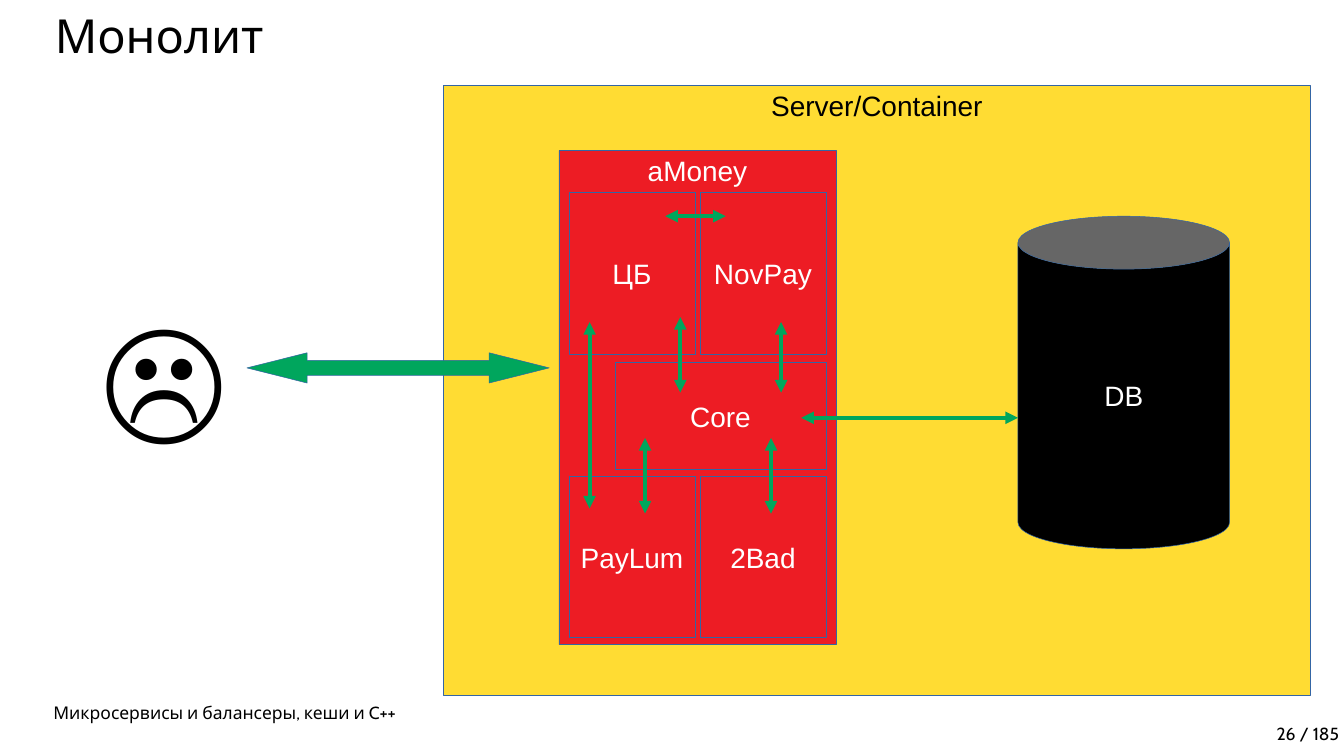
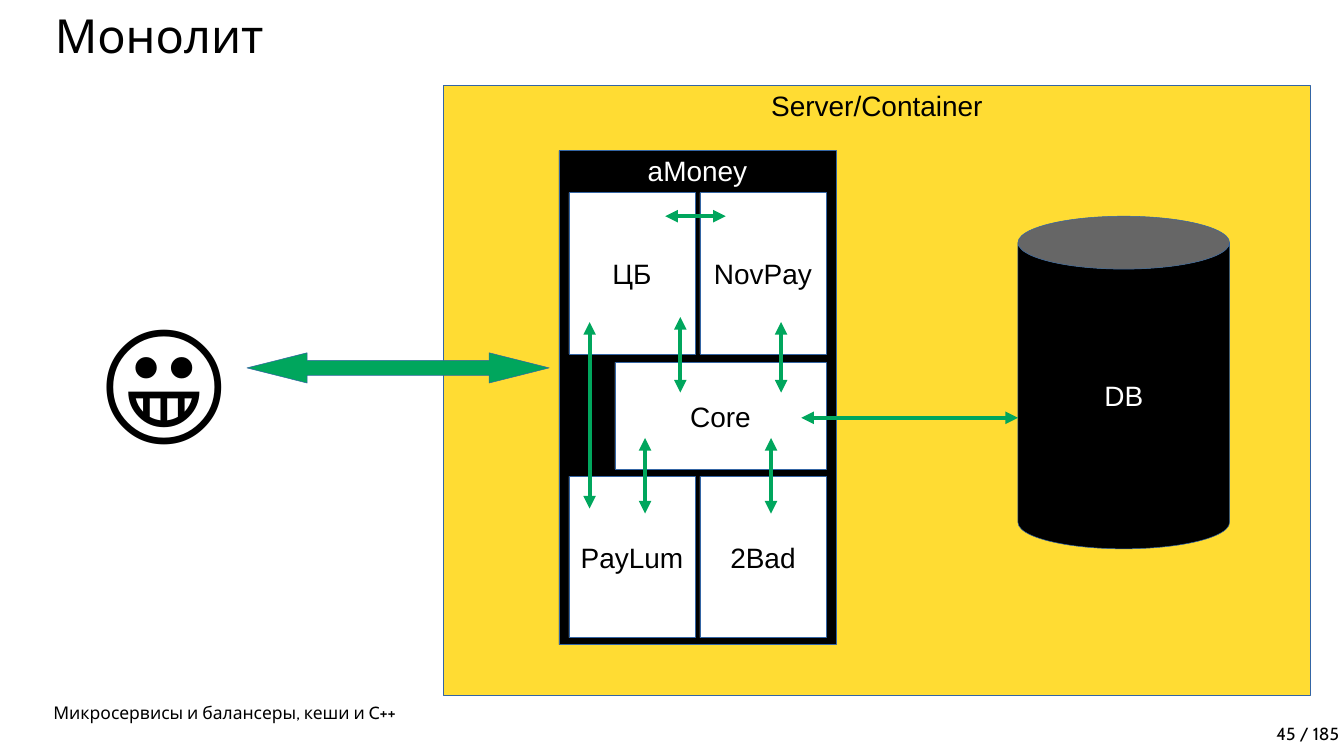
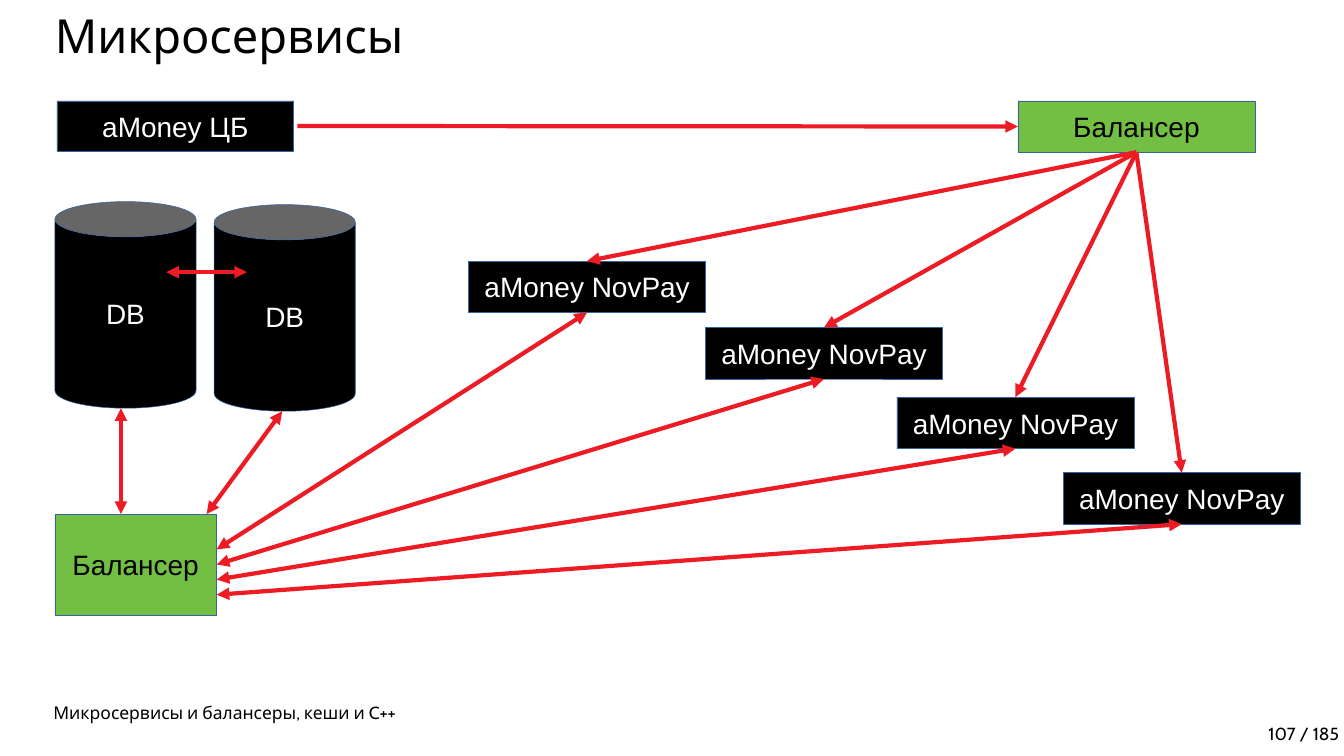
from lxml import etree
from pptx import Presentation
from pptx.dml.color import RGBColor
from pptx.enum.shapes import MSO_CONNECTOR, MSO_SHAPE
from pptx.enum.text import MSO_ANCHOR, MSO_AUTO_SIZE, PP_ALIGN
from pptx.oxml.ns import qn
from pptx.util import Inches, Pt

RECT, CAN, DOUBLE_ARROW = MSO_SHAPE.RECTANGLE, MSO_SHAPE.CAN, MSO_SHAPE.LEFT_RIGHT_ARROW
STRAIGHT = MSO_CONNECTOR.STRAIGHT
TOP, MIDDLE, BOTTOM = MSO_ANCHOR.TOP, MSO_ANCHOR.MIDDLE, MSO_ANCHOR.BOTTOM
LEFT, CENTER, RIGHT = PP_ALIGN.LEFT, PP_ALIGN.CENTER, PP_ALIGN.RIGHT
FIT_SHAPE = MSO_AUTO_SIZE.SHAPE_TO_FIT_TEXT
SITE_TOP, SITE_LEFT, SITE_BOTTOM = 0, 1, 2

BLACK = RGBColor(0x00, 0x00, 0x00)
WHITE = RGBColor(0xFF, 0xFF, 0xFF)
YELLOW = RGBColor(0xFF, 0xDC, 0x33)
RED = RGBColor(0xED, 0x1C, 0x24)
GREEN = RGBColor(0x00, 0xA6, 0x5D)
LIME = RGBColor(0x72, 0xBF, 0x44)
OUTLINE = RGBColor(0x34, 0x65, 0xA4)

TITLE_FONT, BODY_FONT = "Cabin", "Arial"
FOOTER = "Микросервисы и балансеры, кеши и C++"
TOTAL = 185


def write(p, text, size, font, color, align):
    """Add one formatted run to a paragraph."""
    p.alignment = align
    r = p.add_run()
    r.text = text
    r.font.size = Pt(size)
    r.font.name = font
    r.font.color.rgb = color


def add_text(s, box, text, size, font, anchor=TOP, align=LEFT):
    """Add a wrapped text box and return its frame."""
    tf = s.shapes.add_textbox(*map(Inches, box)).text_frame
    tf.word_wrap = True
    tf.vertical_anchor = anchor
    write(tf.paragraphs[0], text, size, font, BLACK, align)
    return tf


def add_block(s, box, fill, text="", color=WHITE, kind=RECT, anchor=MIDDLE):
    """Add a filled shape with a hairline and a centred label."""
    sp = s.shapes.add_shape(kind, *map(Inches, box))
    sp.shadow.inherit = False
    sp.fill.solid()
    sp.fill.fore_color.rgb = fill
    sp.line.color.rgb = OUTLINE
    sp.line.width = 0
    if text:
        tf = sp.text_frame
        tf.word_wrap = False
        tf.vertical_anchor = anchor
        write(tf.paragraphs[0], text, 40, BODY_FONT, color, CENTER)
    return sp


def add_arrow(s, start, end, color, both=True):
    """Add a thick arrow, pointed at its end or at both ends."""
    cx = s.shapes.add_connector(STRAIGHT, *map(Inches, (*start, *end)))
    cx.line.color.rgb = color
    cx.line.width = Pt(6)
    ln = cx.line._get_or_add_ln()
    for tag in ("a:headEnd", "a:tailEnd") if both else ("a:tailEnd",):
        etree.SubElement(ln, qn(tag), type="triangle")
    etree.SubElement(cx._element.spPr, qn("a:effectLst"))
    return cx


def add_slide(prs, title, number):
    """Add a slide with its title, footer and page number."""
    s = prs.slides.add_slide(prs.slide_layouts[6])
    tf = add_text(s, (0.99, 0.2, 26.2, 1.4), title, 67, TITLE_FONT)
    tf.paragraphs[0].line_spacing = 0.9
    for left, top, text, align in ((0.96, 13.85, FOOTER, LEFT),
                                   (15.32, 14.25, f"{number} / {TOTAL}", RIGHT)):
        tf = add_text(s, (left, top, 11.35, 0.56), text, 25, TITLE_FONT, BOTTOM, align)
        p = tf.paragraphs[0]
        p.line_spacing = 0.9
        p.space_before = p.space_after = Pt(30)
    return s


def add_application(s, x, y, frame_fill, module_fill, module_color):
    """Draw the application with its modules and the calls between them."""
    add_block(s, (x, y, 5.5, 9.8), frame_fill, "aMoney", anchor=TOP)
    modules = (("ЦБ", "NovPay"), ("PayLum", "2Bad"))
    for row, names in enumerate(modules):
        for col, name in enumerate(names):
            box = (x + 0.2 + 2.6 * col, y + 0.83 + 5.63 * row, 2.5, 3.2)
            add_block(s, box, module_fill, name, module_color)
    add_block(s, (x + 1.11, y + 4.2, 4.19, 2.12), module_fill, "Core", module_color)
    for dx, low, high in ((4.41, 4.8, 3.4), (2.41, 4.8, 3.3), (1.71, 7.2, 5.7),
                          (4.21, 7.2, 5.7), (0.61, 7.1, 3.4)):
        add_arrow(s, (x + dx, y + low), (x + dx, y + high), GREEN)
    add_arrow(s, (x + 3.31, y + 1.3), (x + 2.11, y + 1.3), GREEN)


def add_server(s, x, y, *colors):
    """Draw the server with the application and its database."""
    add_block(s, (x, y, 17.2, 12.1), YELLOW, "Server/Container", BLACK, anchor=TOP)
    add_application(s, x + 2.29, y + 1.29, *colors)
    add_block(s, (x + 11.4, y + 2.59, 4.2, 6.6), BLACK, "DB", kind=CAN)
    add_arrow(s, (x + 7.1, y + 6.59), (x + 11.4, y + 6.59), GREEN)


def add_user(s, x, y, face):
    """Draw the user's mood and the exchange with the server."""
    tf = add_text(s, (x, y, 3.08, 3.4), face, 196, BODY_FONT)
    tf.auto_size = FIT_SHAPE
    sp = add_block(s, (x + 2.98, y + 1.3, 6, 0.6), GREEN, kind=DOUBLE_ARROW)
    sp.adjustments[0] = 0.5
    sp.adjustments[1] = 1.99


def build_monolith(prs, number, face, *colors):
    """Build a slide of the monolith in one state."""
    s = add_slide(prs, "Монолит", number)
    add_server(s, 8.8, 1.7, *colors)
    add_user(s, 1.92, 5.7, face)


def add_storage(s, x, y):
    """Draw the replicated databases above their balancer."""
    for dx, dy in ((0, 0), (3.16, 0.06)):
        add_block(s, (x + dx, y + dy, 2.8, 4.1), BLACK, "DB", kind=CAN)
    add_block(s, (x, y + 6.2, 3.2, 2), LIME, "Балансер", BLACK)
    for start, end in (((1.31, 6.2), (1.31, 4.1)), ((3.01, 6.2), (4.51, 4.16)),
                       ((2.21, 1.4), (3.81, 1.4))):
        add_arrow(s, (x + start[0], y + start[1]), (x + end[0], y + end[1]), RED)


def add_services(s, x, y, storage_port):
    """Draw the client, the balancer and the service instances."""
    add_block(s, (x, y, 4.7, 1), BLACK, "aMoney ЦБ")
    balancer = add_block(s, (x + 19.07, y, 4.7, 1.02), LIME, "Балансер", BLACK)
    request = add_arrow(s, (x + 4.77, y + 0.5), (x + 19.07, y + 0.5), RED, both=False)
    request.end_connect(balancer, SITE_LEFT)
    port_x, port_y = storage_port
    for i, (dx, dy) in enumerate(((8.17, 3.18), (12.87, 4.5), (16.67, 5.88), (19.97, 7.38))):
        left, top = x + dx, y + dy
        service = add_block(s, (left, top, 4.7, 1.02), BLACK, "aMoney NovPay")
        call = add_arrow(s, (x + 21.42, y + 1.02), (left + 2.35, top), RED, both=False)
        call.begin_connect(balancer, SITE_BOTTOM)
        call.end_connect(service, SITE_TOP)
        query = add_arrow(s, (port_x, port_y + 0.3 * i), (left + 2.35, top + 1.02), RED)
        query.end_connect(service, SITE_BOTTOM)


def build_microservices(prs, number):
    """Build the slide of the balanced microservices."""
    s = add_slide(prs, "Микросервисы", number)
    add_storage(s, 1.09, 4)
    add_services(s, 1.13, 2, (4.3, 10.9))


def main():
    """Build and save the presentation."""
    prs = Presentation()
    prs.slide_width, prs.slide_height = Inches(26.67), Inches(15)
    build_monolith(prs, 26, "☹️", RED, RED, WHITE)
    build_monolith(prs, 45, "😀️", BLACK, WHITE, BLACK)
    build_microservices(prs, 107)
    prs.save("out.pptx")


if __name__ == "__main__":
    main()
